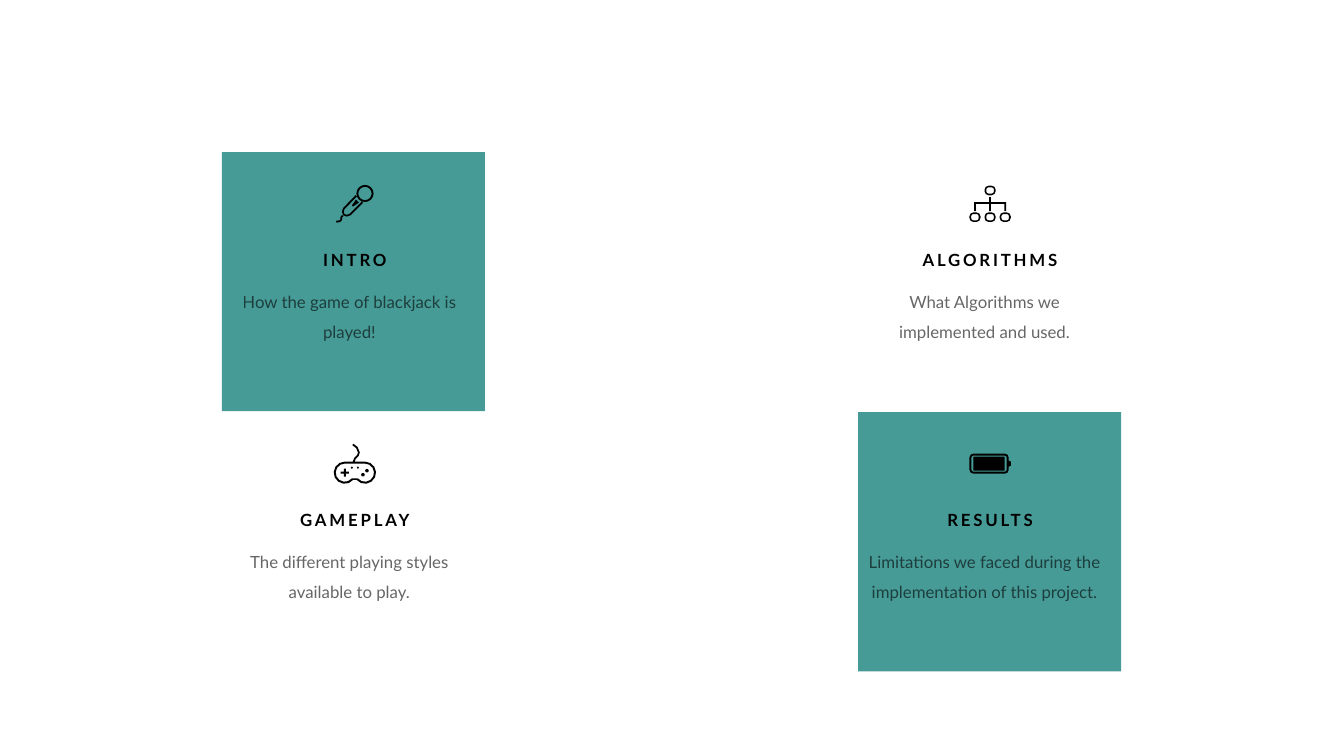
from math import cos, hypot, radians, sin

from lxml.etree import SubElement
from pptx import Presentation
from pptx.dml.color import RGBColor
from pptx.enum.shapes import MSO_SHAPE
from pptx.enum.text import MSO_AUTO_SIZE, PP_ALIGN
from pptx.oxml.ns import qn
from pptx.util import Inches, Pt

TEAL, BLACK = "479B97", "000000"
FONT = "Lato"
STROKE = 1.8  # hundredths of an inch, as are all icon lengths


def arc(x, y, radius, start, end, steps):
    angles = [radians(start + (end - start) * i / steps) for i in range(steps + 1)]
    return [(x + radius * cos(a), y + radius * sin(a)) for a in angles]


def circle(x, y, radius, steps=8):
    return arc(x, y, radius, 0, 360, steps)


def box(x, y, width, height, radius):
    """Rectangle with rounded corners around a centre."""
    dx, dy = width / 2 - radius, height / 2 - radius
    corners = [(dx, dy, 0), (-dx, dy, 90), (-dx, -dy, 180), (dx, -dy, 270)]
    return [point for cx, cy, start in corners
            for point in arc(x + cx, y + cy, radius, start, start + 90, 2)]


def ribbon(points):
    """Outline of a line drawn with the icon stroke."""
    sides = [], []
    for i, (x, y) in enumerate(points):
        (x1, y1), (x2, y2) = points[max(i - 1, 0)], points[min(i + 1, len(points) - 1)]
        scale = STROKE / 2 / hypot(x2 - x1, y2 - y1)
        dx, dy = (y1 - y2) * scale, (x2 - x1) * scale
        sides[0].append((x + dx, y + dy))
        sides[1].append((x - dx, y - dy))
    return sides[0] + sides[1][::-1]


def controller_body(radius):
    return arc(-10, 9, radius, 40, 270, 8) + arc(10, 9, radius, -90, 140, 8)


# Each icon is a list of contours around its centre; inner contours are holes.
MICROPHONE = [
    circle(10, -10, 8.5, 16), circle(10, -10, 6.6, 16),
    ribbon([(1.3, -7.7), (-11, 5), (-12, 8), (-11, 11), (-8, 12), (-5, 11), (7.5, -1.3)]),
    ribbon([(-12, 12), (-13.5, 13.5), (-13.5, 16), (-15, 17.5), (-18.5, 18)]),
    [(-3, 2), (-2, 3), (4, -1), (1, -4)],
]
CONTROLLER = [
    controller_body(11), controller_body(9),
    ribbon([(-2, -19), (2, -16), (4, -11), (3, -8), (0, -5), (-1, -2)]),
    [(-14, 8), (-11, 8), (-11, 5), (-9, 5), (-9, 8), (-6, 8),
     (-6, 10), (-9, 10), (-9, 13), (-11, 13), (-11, 10), (-14, 10)],
    circle(12, 7, 1.8), circle(8, 11, 1.8), circle(-3, 4, 1), circle(3, 4, 1),
]
BOX_CENTRES = [(0, -13), (-15, 13.5), (0, 13.5), (15, 13.5)]
HIERARCHY = [
    contour for x, y in BOX_CENTRES
    for contour in (box(x, y, 11, 9.5, 4), box(x, y, 7.4, 6.2, 2))
] + [
    [(-15.9, 7.4), (-15.9, -1.4), (-0.9, -1.4), (-0.9, -6.4), (0.9, -6.4), (0.9, -1.4),
     (15.9, -1.4), (15.9, 7.4), (14.1, 7.4), (14.1, 0.4), (0.9, 0.4), (0.9, 7.4),
     (-0.9, 7.4), (-0.9, 0.4), (-14.1, 0.4), (-14.1, 7.4)],
]
BATTERY = [
    box(-1, 0, 39, 20, 4), box(-1, 0, 35, 16, 2),
    [(-16.5, -7), (14.5, -7), (14.5, 7), (-16.5, 7)],
    [(18.5, -3), (20.5, -2), (20.5, 2), (18.5, 3)],
]

# column, row, heading, description, icon, teal background
CARDS = [
    (0, 0, "INTRO", "How the game of blackjack is played!", MICROPHONE, True),
    (0, 1, "GAMEPLAY", "The different playing styles available to play.", CONTROLLER, False),
    (1, 0, "ALGORITHMS", "What Algorithms we implemented and used.", HIERARCHY, False),
    (1, 1, "RESULTS", "Limitations we faced during the implementation of this project.",
     BATTERY, True),
]
LEFTS, CENTRES, TOPS = (2.2, 8.51), (3.52, 9.82), (1.51, 4.09)
CARD_WIDTH, CARD_HEIGHT = 2.61, 2.57


def rgb(color):
    return RGBColor.from_string(color)


def fill_shape(shape, color):
    shape.shadow.inherit = False
    shape.fill.solid()
    shape.fill.fore_color.rgb = rgb(color)
    shape.line.fill.background()


def add_icon(slide, contours, centre_x, centre_y):
    placed = [[(Inches(centre_x + x / 100), Inches(centre_y + y / 100)) for x, y in contour]
              for contour in contours]
    builder = slide.shapes.build_freeform(*placed[0][0])
    builder.add_line_segments(placed[0][1:])
    for start, *others in placed[1:]:
        builder.move_to(*start)
        builder.add_line_segments(others)
    fill_shape(builder.convert_to_shape(), BLACK)


def add_text(slide, text, left, top, width, height, spacing, right_inset=0):
    text_box = slide.shapes.add_textbox(
        Inches(left), Inches(top), Inches(width), Inches(height))
    frame = text_box.text_frame
    frame.word_wrap = True
    frame.auto_size = MSO_AUTO_SIZE.SHAPE_TO_FIT_TEXT
    frame.margin_left = frame.margin_top = frame.margin_bottom = 0
    frame.margin_right = Inches(right_inset)
    paragraph = frame.paragraphs[0]
    paragraph.alignment = PP_ALIGN.CENTER
    paragraph.line_spacing = spacing
    run = paragraph.add_run()
    run.text = text
    run.font.name = FONT
    run.font.size = Pt(12)
    run.font.color.rgb = rgb(BLACK)
    return run


def add_card(slide, column, row, heading, description, icon, teal):
    centre, top = CENTRES[column], TOPS[row]
    if teal:
        background = slide.shapes.add_shape(
            MSO_SHAPE.RECTANGLE, Inches(LEFTS[column]), Inches(top),
            Inches(CARD_WIDTH), Inches(CARD_HEIGHT))
        fill_shape(background, TEAL)
    add_icon(slide, icon, centre, top + 0.51)

    title = add_text(slide, heading, centre - 0.96, top + 1.01, 1.92, 0.16, 0.8)
    title.font.bold = True
    title._r.get_or_add_rPr().set("spc", "200")

    body = add_text(slide, description, centre - 1.27, top + 1.28, 2.53, 0.57, 1.5, 0.1)
    color = body._r.rPr.find(".//" + qn("a:srgbClr"))
    SubElement(color, qn("a:alpha")).set("val", "60000")


def main():
    presentation = Presentation()
    presentation.slide_width = Inches(13.33)
    presentation.slide_height = Inches(7.5)
    slide = presentation.slides.add_slide(presentation.slide_layouts[6])
    for card in CARDS:
        add_card(slide, *card)
    presentation.save("out.pptx")


if __name__ == "__main__":
    main()
